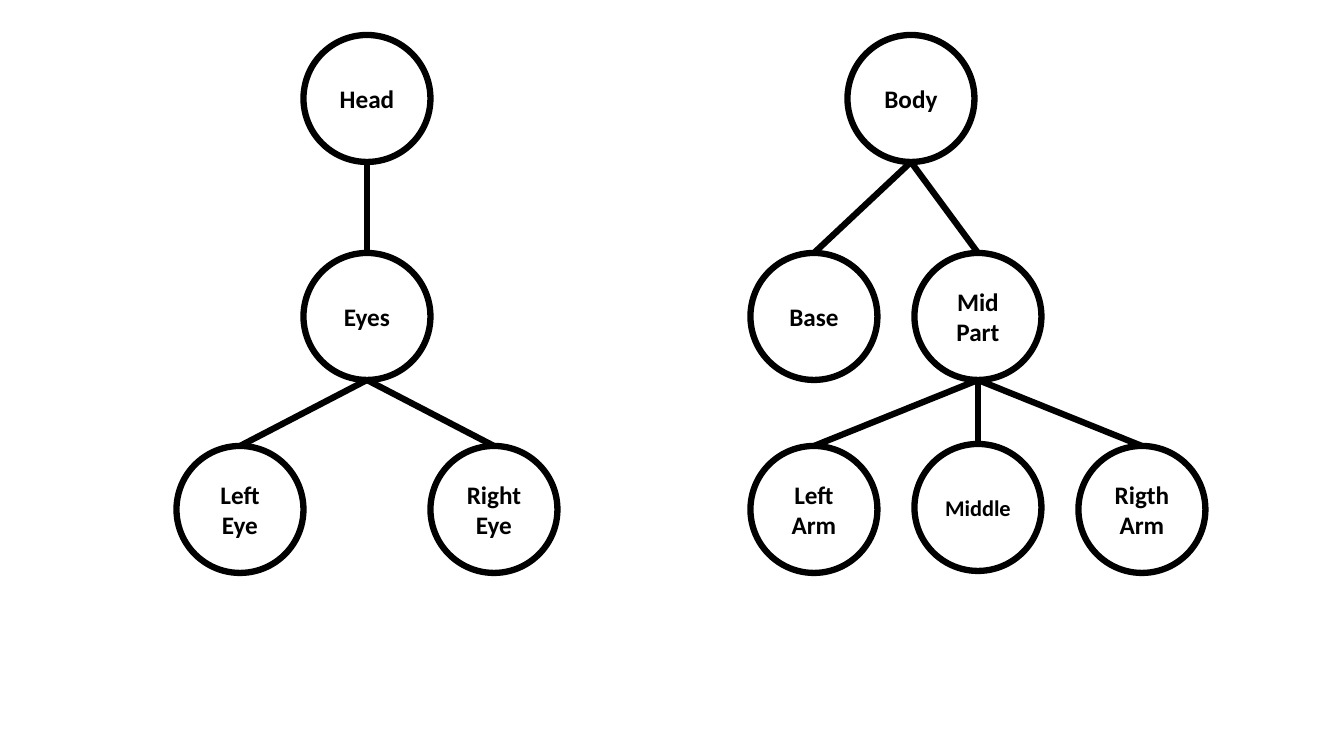
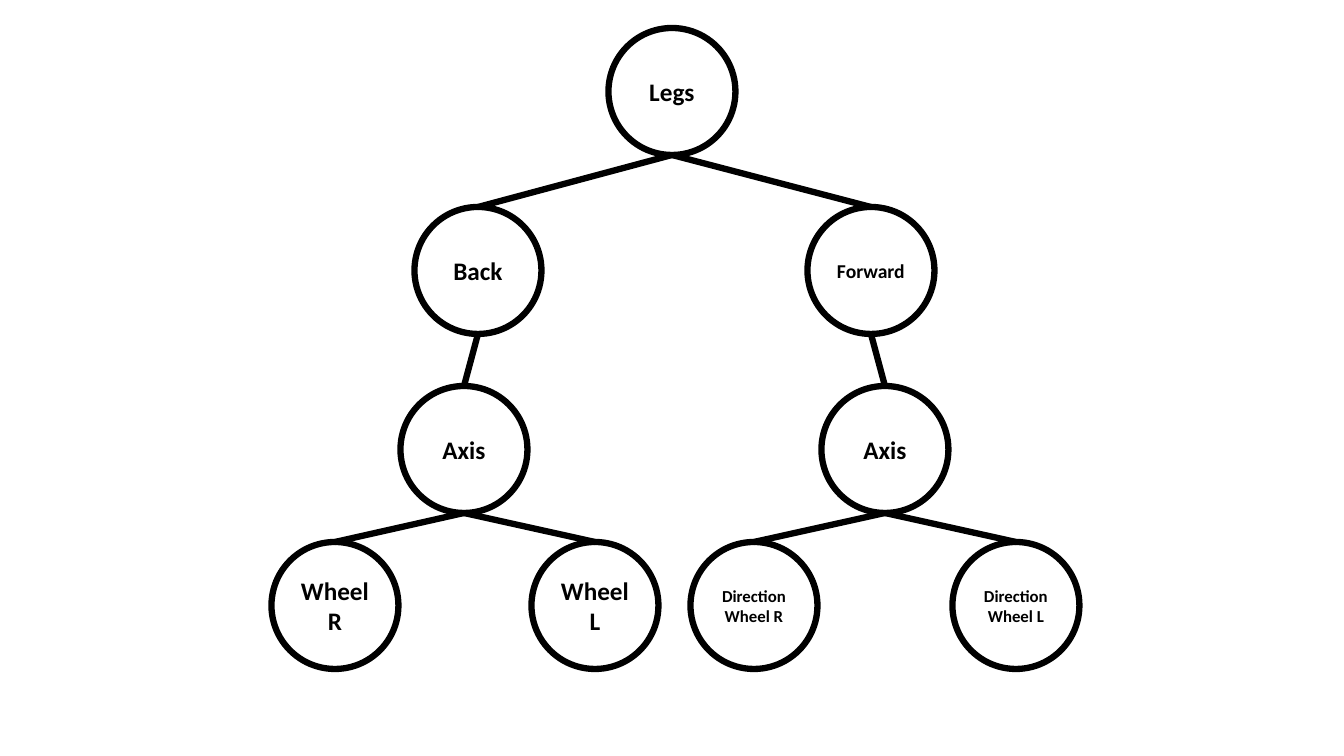
from dataclasses import dataclass
from lxml.etree import SubElement
from pptx import Presentation
from pptx.dml.color import RGBColor
from pptx.enum.shapes import MSO_CONNECTOR, MSO_SHAPE
from pptx.enum.text import MSO_ANCHOR, PP_ALIGN
from pptx.oxml.ns import qn
from pptx.util import Emu, Pt

SCALE = 914400 / 100.8
SLIDE_WIDTH, SLIDE_HEIGHT = 1344, 756
DIAMETER = 127
COLORS = {"ink": "000000", "paper": "FFFFFF"}
FONT = {"name": "Calibri", "bold": True}
FRAME = {"word_wrap": True, "vertical_anchor": MSO_ANCHOR.MIDDLE}
LINE_WIDTH = Pt(4.5)


@dataclass
class Node:
    label: str
    center: int
    top: int
    children: tuple = ()
    size: int = 18


def px(length):
    return Emu(round(length * SCALE))


def color(name):
    return RGBColor.from_string(COLORS[name])


def apply_format(target, values):
    for name, value in values.items():
        setattr(target, name, value)


def style_line(line):
    line.color.rgb = color("ink")
    line.width = LINE_WIDTH


def add_circle(slide, node, left, top):
    shape = slide.shapes.add_shape(
        MSO_SHAPE.OVAL, px(left), px(top), px(DIAMETER), px(DIAMETER))
    shape.shadow.inherit = False
    shape.fill.solid()
    shape.fill.fore_color.rgb = color("paper")
    style_line(shape.line)
    frame = shape.text_frame
    apply_format(frame, FRAME)
    frame.text = node.label
    for paragraph in frame.paragraphs:
        paragraph.alignment = PP_ALIGN.CENTER
        font = paragraph.runs[0].font
        apply_format(font, {**FONT, "size": Pt(node.size)})
        font.color.rgb = color("ink")


def add_branch(slide, start, end):
    connector = slide.shapes.add_connector(
        MSO_CONNECTOR.STRAIGHT, *map(px, start + end))
    style_line(connector.line)
    SubElement(connector._element.spPr, qn("a:effectLst"))


def add_tree(slide, node, box):
    left, top = box
    center, node_top = left + node.center, top + node.top
    add_circle(slide, node, center - DIAMETER / 2, node_top)
    for child in node.children:
        child_point = add_tree(slide, child, box)
        add_branch(slide, (center, node_top + DIAMETER), child_point)
    return center, node_top


def add_tree_slide(presentation, trees):
    slide = presentation.slides.add_slide(presentation.slide_layouts[6])
    for box, root in trees:
        add_tree(slide, root, box)


HEAD = Node("Head", 191, 0, (
    Node("Eyes", 191, 218, (
        Node("Left Eye", 64, 411),
        Node("Right\nEye", 318, 411))),))

BODY = Node("Body", 161, 0, (
    Node("Base", 64, 218),
    Node("Mid Part", 228, 218, (
        Node("Left Arm", 64, 411),
        Node("Middle", 228, 409, size=16),
        Node("Rigth Arm", 392, 411)))))

LEGS = Node("Legs", 401, 0, (
    Node("Back", 207, 179, (
        Node("Axis", 193, 358, (
            Node("Wheel R", 64, 514),
            Node("Wheel L", 324, 514))),)),
    Node("Forward", 600, 179, (
        Node("Axis", 614, 358, (
            Node("Direction Wheel R", 483, 514, size=12),
            Node("Direction Wheel L", 745, 514, size=12))),), size=14)))

presentation = Presentation()
apply_format(presentation, {"slide_width": px(SLIDE_WIDTH), "slide_height": px(SLIDE_HEIGHT)})
add_tree_slide(presentation, [((176, 35), HEAD), ((750, 35), BODY)])
add_tree_slide(presentation, [((271, 28), LEGS)])
presentation.save("out.pptx")
